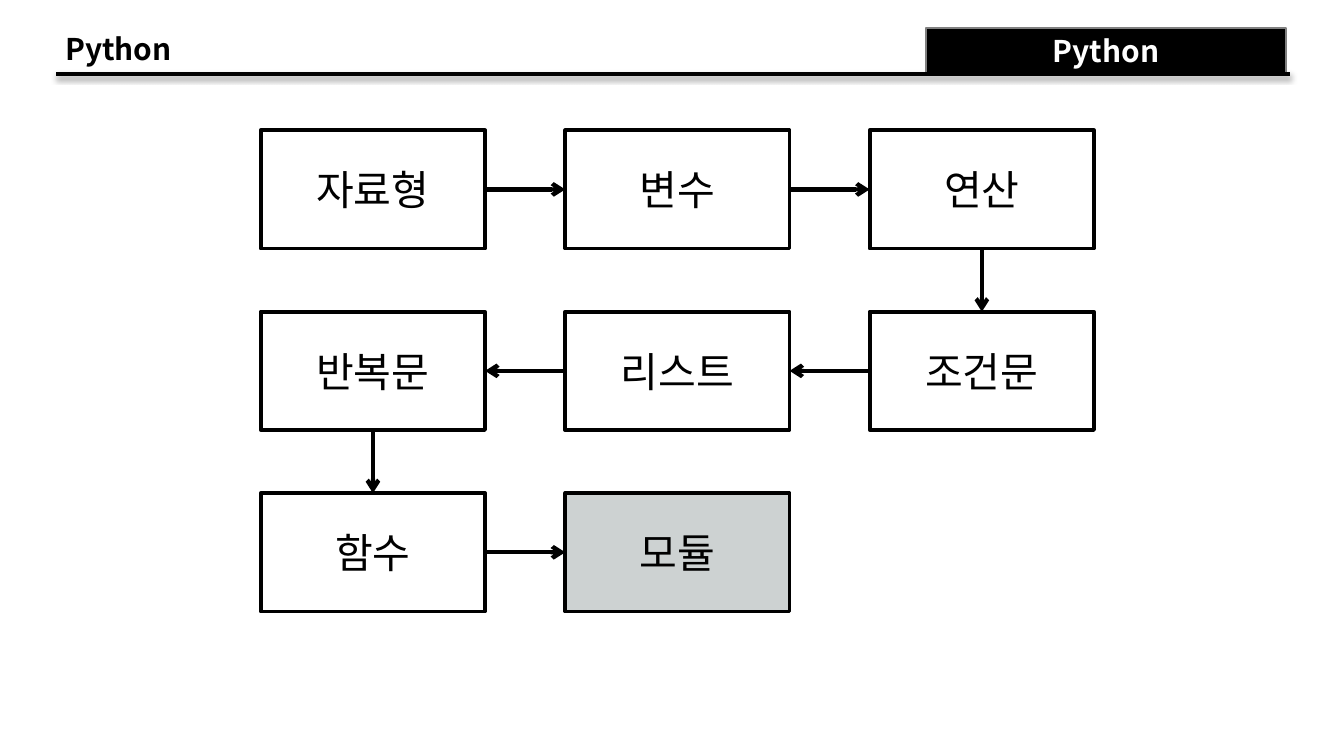
from dataclasses import dataclass

import pptx
import pptx.dml.color
import pptx.enum.shapes
import pptx.enum.text
import pptx.oxml
import pptx.oxml.ns
import pptx.util
from pptx.util import Pt

FONT = "Noto Sans CJK KR"
BLACK, WHITE, GRAY, HIGHLIGHT = "000000", "FFFFFF", "808080", "CDD2D2"
GRID_LEFT, GRID_TOP = 139.7, 69.8
COLUMN_STEP, ROW_STEP = 163.1, 97.2
BOX_WIDTH, BOX_HEIGHT = 120.2, 63.4
TOP, LEFT, BOTTOM, RIGHT = range(4)  # connection sites of a rectangle


@dataclass(frozen=True)
class Topic:
    label: str
    column: int
    row: int
    fill: str | None = None


# In reading order: the path winds right, then left, then right again.
TOPICS = [
    Topic("자료형", 0, 0),
    Topic("변수", 1, 0),
    Topic("연산", 2, 0),
    Topic("조건문", 2, 1),
    Topic("리스트", 1, 1),
    Topic("반복문", 0, 1),
    Topic("함수", 0, 2),
    Topic("모듈", 1, 2, HIGHLIGHT),
]


def color(value: str) -> pptx.dml.color.RGBColor:
    return pptx.dml.color.RGBColor.from_string(value)


def add_xml(parent, xml: str) -> None:
    """Append an element written with the a: prefix."""
    namespace = pptx.oxml.ns.nsdecls("a")
    tag, rest = xml[:xml.index(" ")], xml[xml.index(" "):]
    parent.append(pptx.oxml.parse_xml(f"{tag} {namespace}{rest}"))


def write_text(box, text: str, *, size: float, ink: str = BLACK, bold: bool = False,
               align=pptx.enum.text.PP_ALIGN.CENTER,
               anchor=pptx.enum.text.MSO_ANCHOR.MIDDLE) -> None:
    frame = box.text_frame
    frame.word_wrap = True
    frame.vertical_anchor = anchor
    para = frame.paragraphs[0]
    para.alignment = align
    span = para.add_run()
    span.text = text
    span.font.size = Pt(size)
    span.font.bold = bold
    span.font.color.rgb = color(ink)
    span.font.name = FONT
    add_xml(span.font._element, f'<a:ea typeface="{FONT}"/>')


def add_box(page, left: float, top: float, width: float, height: float, *,
            fill: str | None, line: str, line_width: float):
    box = page.shapes.add_shape(pptx.enum.shapes.MSO_SHAPE.RECTANGLE,
                                Pt(left), Pt(top), Pt(width), Pt(height))
    box.shadow.inherit = False
    if fill:
        box.fill.solid()
        box.fill.fore_color.rgb = color(fill)
    else:
        box.fill.background()
    box.line.color.rgb = color(line)
    box.line.width = Pt(line_width)
    return box


def add_line(page, start: tuple[float, float], end: tuple[float, float], width: float):
    line = page.shapes.add_connector(pptx.enum.shapes.MSO_CONNECTOR.STRAIGHT,
                                     *map(Pt, start + end))
    line.line.color.rgb = color(BLACK)
    line.line.width = Pt(width)
    return line


def add_header(page) -> None:
    title = page.shapes.add_textbox(Pt(28), Pt(13), Pt(330), Pt(26.6))
    write_text(title, "Python", size=16, bold=True,
               align=pptx.enum.text.PP_ALIGN.LEFT,
               anchor=pptx.enum.text.MSO_ANCHOR.TOP)
    tab = add_box(page, 496, 15.1, 193, 24.5, fill=BLACK, line=GRAY, line_width=1)
    write_text(tab, "Python", size=16, ink=WHITE, bold=True)
    rule = add_line(page, (30.2, 39.6), (691.2, 39.6), 2)
    add_xml(rule._element.spPr,
            f'<a:effectLst ><a:outerShdw blurRad="{Pt(3.1)}" dist="{Pt(1.6)}" '
            f'dir="5400000" rotWithShape="0"><a:srgbClr val="{BLACK}">'
            '<a:alpha val="38000"/></a:srgbClr></a:outerShdw></a:effectLst>')


def add_topic(page, topic: Topic):
    box = add_box(page, GRID_LEFT + topic.column * COLUMN_STEP,
                  GRID_TOP + topic.row * ROW_STEP, BOX_WIDTH, BOX_HEIGHT,
                  fill=topic.fill, line=BLACK, line_width=2)
    write_text(box, topic.label, size=22)
    return box


def add_arrow(page, source: Topic, target: Topic, boxes: dict) -> None:
    if source.row != target.row:
        sites = BOTTOM, TOP
    elif source.column < target.column:
        sites = RIGHT, LEFT
    else:
        sites = LEFT, RIGHT
    arrow = add_line(page, (0, 0), (0, 0), 2.25)
    arrow.begin_connect(boxes[source], sites[0])
    arrow.end_connect(boxes[target], sites[1])
    add_xml(arrow.line._get_or_add_ln(), '<a:tailEnd type="arrow"/>')
    add_xml(arrow._element.spPr, "<a:effectLst />")


def main() -> None:
    deck = pptx.Presentation()
    deck.slide_width, deck.slide_height = Pt(720), Pt(405)
    page = deck.slides.add_slide(deck.slide_layouts[6])
    add_header(page)
    boxes = {topic: add_topic(page, topic) for topic in TOPICS}
    for source, target in zip(TOPICS, TOPICS[1:]):
        add_arrow(page, source, target, boxes)
    deck.save("out.pptx")


if __name__ == "__main__":
    main()
